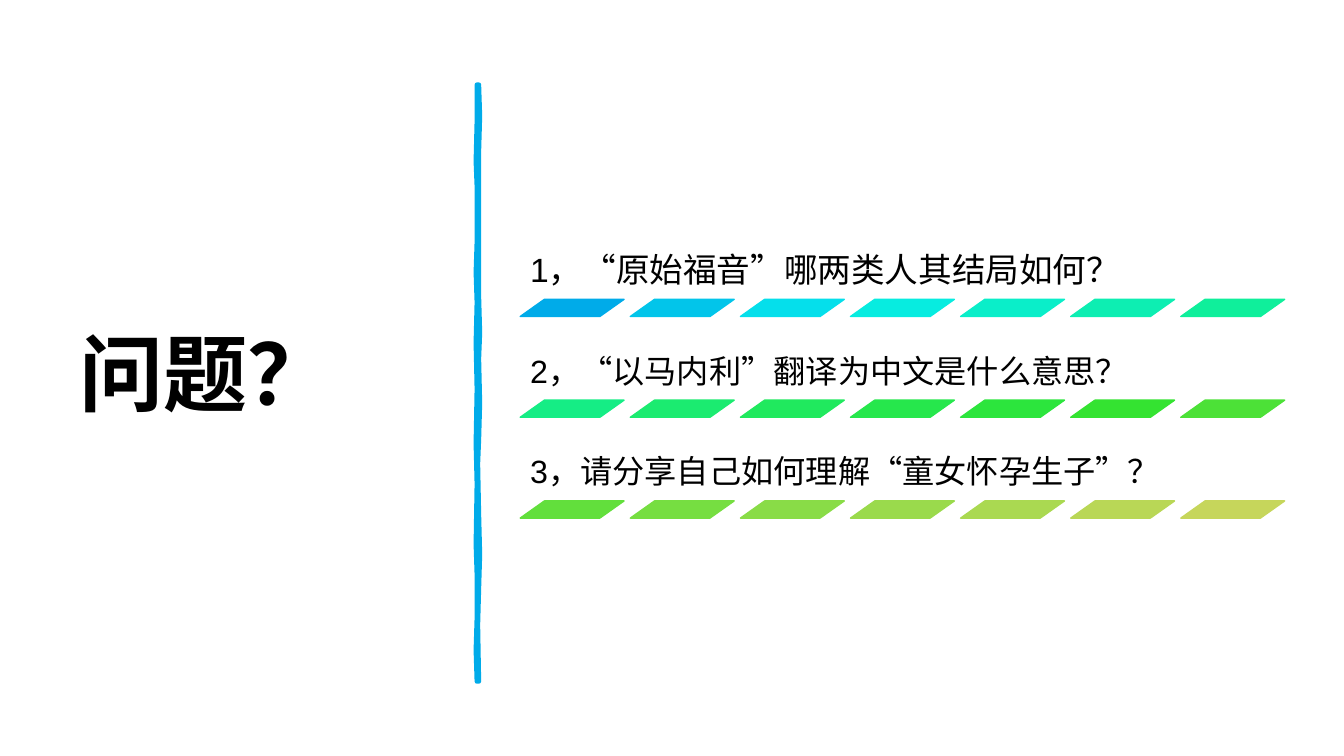
"""Builds a question slide: a title, a wavy divider and three questions over coloured dashes."""
from pptx import Presentation
from pptx.dml.color import RGBColor
from pptx.enum.shapes import MSO_SHAPE as Shape
from pptx.enum.text import MSO_ANCHOR as Anchor
from pptx.util import Inches, Pt

COLORS = {"text": "000000", "divider": "00ABE9"}
QUESTIONS = [
    ("1，“原始福音”哪两类人其结局如何？", 24,
     ["00ABE9", "02C5EA", "05DFEB", "07ECE0", "0AEEC9", "0DEEB2", "0FEF9B"]),
    ("2，“以马内利”翻译为中文是什么意思？", 23,
     ["15ED85", "1BEB70", "20E95E", "26E74C", "2CE53D", "34E331", "4CE137"]),
    ("3，请分享自己如何理解“童女怀孕生子”？", 23,
     ["62DF3C", "76DE41", "89DC47", "9ADA4C", "AAD951", "B9D756", "C6D65B"]),
]
RIGHT_EDGE = [(4.75, 0.84), (4.76, 1.15), (4.75, 1.5), (4.75, 2.26), (4.75, 2.94),
              (4.76, 3.3), (4.75, 3.56), (4.76, 4.0), (4.75, 4.36), (4.74, 4.6),
              (4.75, 5.1), (4.76, 5.5), (4.75, 5.84), (4.74, 6.2), (4.75, 6.76)]
LEFT_EDGE = [(4.73, 6.76), (4.72, 6.45), (4.73, 6.13), (4.73, 5.7), (4.72, 5.4),
             (4.73, 4.8), (4.72, 4.4), (4.73, 3.86), (4.72, 3.4), (4.73, 3.0),
             (4.72, 2.7), (4.73, 2.4), (4.73, 1.85), (4.72, 1.6), (4.73, 1.2),
             (4.73, 0.84)]


def add_text(left, top, width, height, text, size, anchor, inset, bold=False):
    box = page.shapes.add_textbox(Inches(left), Inches(top), Inches(width), Inches(height))
    frame = box.text_frame
    frame.word_wrap = True
    frame.vertical_anchor = anchor
    frame.margin_left = frame.margin_right = Inches(0.1)
    frame.margin_top = frame.margin_bottom = Inches(inset)
    para = frame.paragraphs[0]
    para.text = text
    para.line_spacing = 0.9
    para.font.name = "Arial"
    para.font.size = Pt(size)
    para.font.bold = bold
    para.font.color.rgb = RGBColor.from_string(COLORS["text"])


def paint(shape, color, line_width):
    shape.shadow.inherit = False
    shape.fill.solid()
    shape.fill.fore_color.rgb = RGBColor.from_string(color)
    shape.line.color.rgb = RGBColor.from_string(color)
    shape.line.width = Pt(line_width)


deck = Presentation()
deck.slide_width, deck.slide_height = Inches(13.33), Inches(7.5)
page = deck.slides.add_slide(deck.slide_layouts[6])

add_text(0.69, 0.7, 3.74, 6.11, "问题？", 60, Anchor.MIDDLE, 0.05, bold=True)

outline = [(Inches(x), Inches(y)) for x, y in RIGHT_EDGE + LEFT_EDGE]
builder = page.shapes.build_freeform(*outline[0])
builder.add_line_segments(outline[1:], close=True)
paint(builder.convert_to_shape(), COLORS["divider"], 3.25)

for row, (question, size, dash_colors) in enumerate(QUESTIONS):
    top = 2.27 + row
    add_text(5.16, top, 7.74, 0.7, question, size, Anchor.BOTTOM, 0.1)
    for column, color in enumerate(dash_colors):
        dash = page.shapes.add_shape(
            Shape.PARALLELOGRAM, Inches(5.16 + column * 1.092), Inches(top + 0.7),
            Inches(1.03), Inches(0.17))
        dash.adjustments[0] = 1.41
        paint(dash, color, 1)

deck.save("out.pptx")
